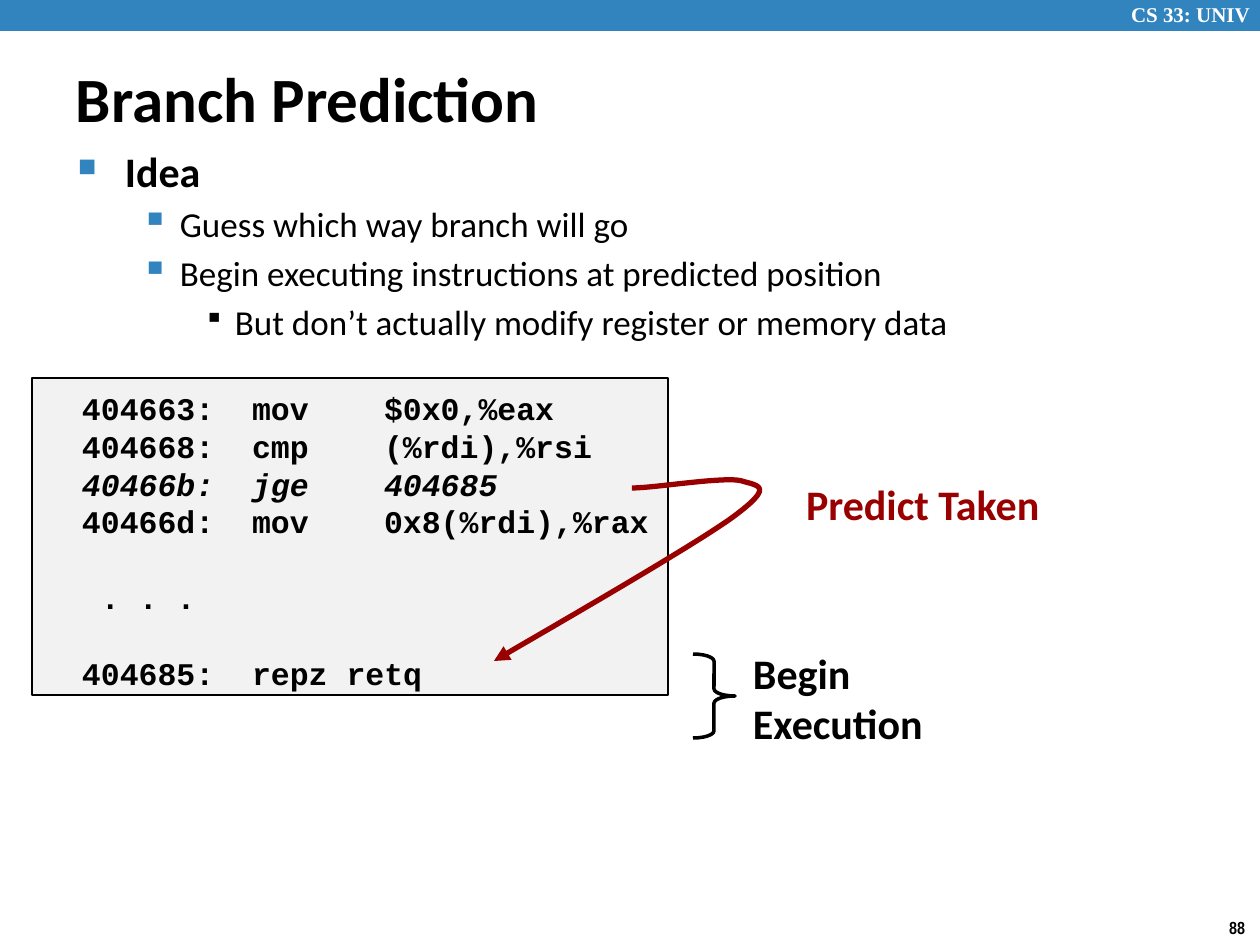
from dataclasses import dataclass

from lxml.etree import SubElement
from pptx import Presentation
from pptx.dml.color import RGBColor
from pptx.enum.shapes import MSO_SHAPE
from pptx.enum.text import MSO_ANCHOR, PP_ALIGN
from pptx.oxml.ns import qn
from pptx.util import Emu, Pt

BLACK = RGBColor(0x00, 0x00, 0x00)
WHITE = RGBColor(0xFF, 0xFF, 0xFF)
BLUE = RGBColor(0x32, 0x84, 0xBF)
RED = RGBColor(0x99, 0x00, 0x00)
GRAY = RGBColor(0xF2, 0xF2, 0xF2)
SCALE = 914400 / 126
STEPS = 24


@dataclass
class Label:
    lines: list[str]
    box: tuple[int, int, int, int]
    size: int
    font: str = "Calibri"
    color: RGBColor = BLACK
    align: PP_ALIGN = PP_ALIGN.LEFT
    anchor: MSO_ANCHOR = MSO_ANCHOR.TOP


@dataclass
class Point:
    text: str
    level: int


@dataclass
class Bullet:
    mark: str
    scale: int
    left: int
    hang: int
    size: int
    color: RGBColor


@dataclass
class Code:
    text: str
    skip: int = 0
    shift: int = 0
    slant: bool = False


LABELS = [
    Label(["CS 33: UNIV"], (1100, 2, 150, 26), 12, "Times New Roman", WHITE, PP_ALIGN.RIGHT),
    Label(["88"], (1205, 917, 40, 22), 10, "Arial Narrow", align=PP_ALIGN.RIGHT),
    Label(["Branch Prediction"], (76, 58, 750, 79), 36, anchor=MSO_ANCHOR.MIDDLE),
    Label(["Predict Taken"], (806, 479, 260, 52), 24, color=RED),
    Label(["Begin", "Execution"], (753, 647, 190, 104), 24),
]
BULLETS = [
    Bullet("■", 60, 47, 47, 24, BLUE),
    Bullet("▪", 110, 102, 39, 20, BLUE),
    Bullet("▪", 80, 157, 31, 20, BLACK),
]
POINTS = [
    Point("Idea", 0),
    Point("Guess which way branch will go", 1),
    Point("Begin executing instructions at predicted position", 1),
    Point("But don’t actually modify register or memory data", 2),
]
CODES = [
    Code("404663:\tmov\t$0x0,%eax"),
    Code("404668:\tcmp\t(%rdi),%rsi"),
    Code("40466b:\tjge\t404685", slant=True),
    Code("40466d:\tmov\t0x8(%rdi),%rax"),
    Code(". . .", skip=1, shift=19),
    Code("404685:\trepz retq", skip=1),
]
CURVES = [
    ((494, 661), (533, 638), (692, 547), (733, 517)),
    ((733, 517), (775, 486), (759, 486), (742, 481)),
    ((742, 481), (726, 476), (655, 488), (632, 488)),
]


def px(n: int) -> Emu:
    return Emu(round(n * SCALE))


def frame(shapes, box):
    text = shapes.add_textbox(*map(px, box)).text_frame
    text.word_wrap = True
    text.margin_left = text.margin_right = text.margin_top = text.margin_bottom = 0
    return text


def style(para, size: int, font: str, color: RGBColor, bold: bool = True):
    para.font.size = Pt(size)
    para.font.name = font
    para.font.bold = bold
    para.font.color.rgb = color


def draw_label(shapes, item: Label):
    text = frame(shapes, item.box)
    text.vertical_anchor = item.anchor
    text.text = "\n".join(item.lines)
    for para in text.paragraphs:
        para.alignment = item.align
        style(para, item.size, item.font, item.color)


def draw_points(shapes, points: list[Point]):
    text = frame(shapes, (78, 145, 1120, 270))
    text.text = "\n".join(item.text for item in points)
    for item, para in zip(points, text.paragraphs):
        look = BULLETS[item.level]
        para.level = item.level
        para.space_before = Pt(4 if item.level else 0)
        props = para._p.get_or_add_pPr()
        props.set("marL", str(px(look.left)))
        props.set("indent", str(-px(look.hang)))
        tint = SubElement(props, qn("a:buClr"))
        SubElement(tint, qn("a:srgbClr"), val=str(look.color))
        SubElement(props, qn("a:buSzPct"), val=str(look.scale * 1000))
        SubElement(props, qn("a:buChar"), char=look.mark)
        style(para, look.size, "Calibri", BLACK, item.level == 0)


def draw_code(shapes, codes: list[Code]):
    box = shapes.add_shape(MSO_SHAPE.RECTANGLE, *map(px, (32, 378, 636, 317)))
    box.shadow.inherit = False
    box.fill.solid()
    box.fill.fore_color.rgb = GRAY
    box.line.color.rgb = BLACK
    box.line.width = Pt(1.5)
    text = box.text_frame
    text.word_wrap = True
    text.vertical_anchor = MSO_ANCHOR.TOP
    text.margin_left, text.margin_top = px(50), px(11)
    text.margin_right = text.margin_bottom = 0
    text.text = "\n".join(item.text for item in codes)
    for item, para in zip(codes, text.paragraphs):
        para.alignment = PP_ALIGN.LEFT
        para.line_spacing = Pt(21.6)
        para.space_before = Pt(21.6 * item.skip)
        props = para._p.get_or_add_pPr()
        props.set("marL", str(px(item.shift)))
        tabs = SubElement(props, qn("a:tabLst"))
        for stop in (170, 302):
            SubElement(tabs, qn("a:tab"), pos=str(px(stop)), algn="l")
        style(para, 18, "Courier New", BLACK)
        para.font.italic = item.slant


def trace(curve) -> list[tuple[int, int]]:
    spots = []
    for step in range(1, STEPS + 1):
        t = step / STEPS
        parts = ((1 - t) ** 3, 3 * t * (1 - t) ** 2, 3 * t**2 * (1 - t), t**3)
        spots.append(tuple(
            px(sum(part * spot[axis] for part, spot in zip(parts, curve)))
            for axis in (0, 1)
        ))
    return spots


def draw_arrow(shapes):
    path = shapes.build_freeform(*map(px, CURVES[0][0]))
    for curve in CURVES:
        path.add_line_segments(trace(curve), close=False)
    arrow = path.convert_to_shape()
    arrow.shadow.inherit = False
    arrow.fill.background()
    arrow.line.color.rgb = RED
    arrow.line.width = Pt(3)
    SubElement(arrow.line._get_or_add_ln(), qn("a:headEnd"), type="triangle")


def main():
    deck = Presentation()
    deck.slide_width, deck.slide_height = px(1260), px(945)
    shapes = deck.slides.add_slide(deck.slide_layouts[6]).shapes
    bar = shapes.add_shape(MSO_SHAPE.RECTANGLE, 0, 0, px(1260), px(31))
    bar.shadow.inherit = False
    bar.fill.solid()
    bar.fill.fore_color.rgb = BLUE
    bar.line.fill.background()
    for item in LABELS:
        draw_label(shapes, item)
    draw_points(shapes, POINTS)
    brace = shapes.add_shape(MSO_SHAPE.RIGHT_BRACE, *map(px, (693, 654, 42, 84)))
    brace.shadow.inherit = False
    brace.adjustments[0] = 0.17
    brace.fill.background()
    brace.line.color.rgb = BLACK
    brace.line.width = Pt(2)
    draw_code(shapes, CODES)
    draw_arrow(shapes)
    deck.save("out.pptx")


if __name__ == "__main__":
    main()
